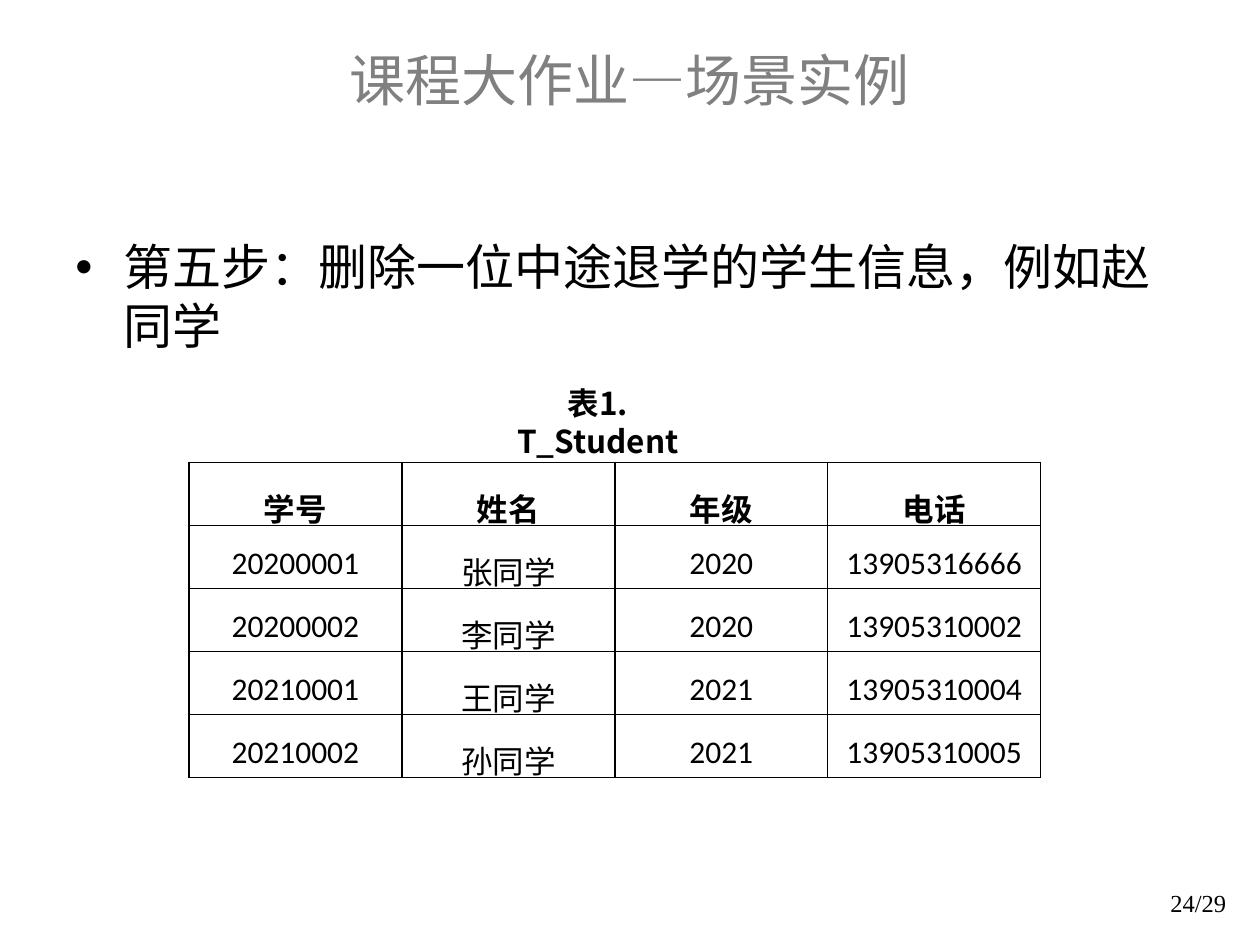
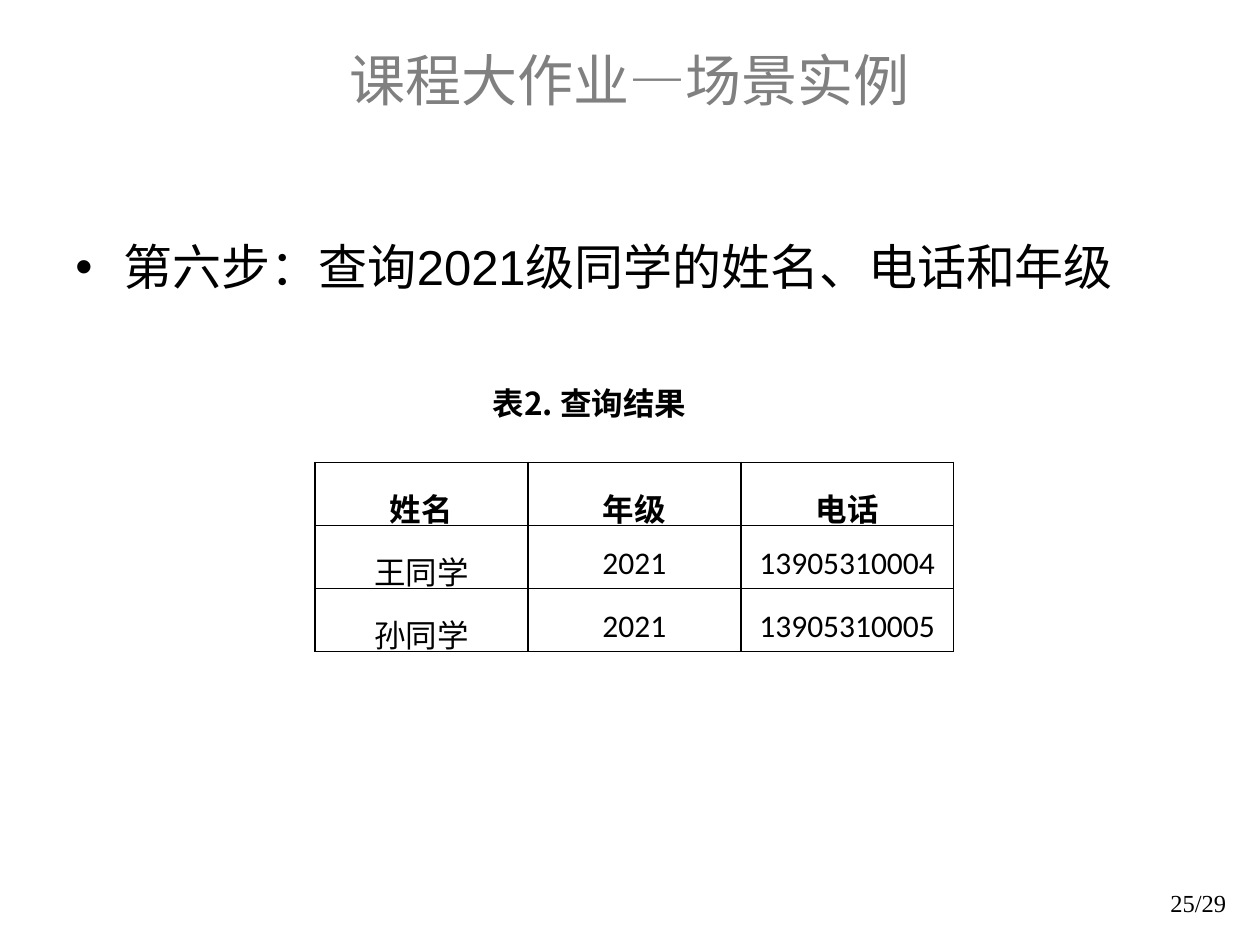
"""Build two slides on the student table of a course project."""
from dataclasses import dataclass

from lxml.etree import SubElement
from pptx import Presentation
from pptx.dml.color import RGBColor
from pptx.enum.text import MSO_ANCHOR, MSO_AUTO_SIZE, PP_ALIGN
from pptx.oxml.ns import qn
from pptx.util import Inches, Pt


@dataclass(frozen=True)
class Theme:
    """Colours, fonts and type sizes shared by the slides."""
    black: str = "000000"
    grey: str = "808080"
    text_font: str = "Arial"
    cell_font: str = "Calibri"
    chinese_font: str = "Noto Sans CJK SC"
    number_font: str = "Times New Roman"
    title_size: int = 32
    body_size: int = 28
    table_size: int = 18
    number_size: int = 14


theme = Theme()


def write(frame, text, size, font, color=theme.black, align=None, bold=False):
    """Write one run into the first paragraph and return the paragraph."""
    para = frame.paragraphs[0]
    para.alignment = align
    span = para.add_run()
    span.text = text
    span.font.size = Pt(size)
    span.font.name = font
    span.font.bold = bold
    span.font.color.rgb = RGBColor.from_string(color)
    SubElement(span.font._element, qn("a:ea"), typeface=theme.chinese_font)
    return para


def add_border(cell):
    """Draw a thin black line on all four sides of a cell."""
    properties = cell._tc.get_or_add_tcPr()
    for side in ("lnL", "lnR", "lnT", "lnB"):
        line = SubElement(properties, qn(f"a:{side}"), w=str(Pt(1)))
        fill = SubElement(line, qn("a:solidFill"))
        SubElement(fill, qn("a:srgbClr"), val=theme.black)


title_text = "课程大作业—场景实例"
column_width, row_height = Inches(1.69), Inches(0.5)
pages = [
    {
        "number": "24/29",
        "step": "第五步：删除一位中途退学的学生信息，例如赵同学",
        "caption": "表1. T_Student",
        "caption_width": 1.99,
        "table_left": 1.5,
        "rows": [
            ("学号", "姓名", "年级", "电话"),
            ("20200001", "张同学", "2020", "13905316666"),
            ("20200002", "李同学", "2020", "13905310002"),
            ("20210001", "王同学", "2021", "13905310004"),
            ("20210002", "孙同学", "2021", "13905310005"),
        ],
    },
    {
        "number": "25/29",
        "step": "第六步：查询2021级同学的姓名、电话和年级",
        "caption": "表2. 查询结果",
        "caption_width": 1.86,
        "table_left": 2.5,
        "rows": [
            ("姓名", "年级", "电话"),
            ("王同学", "2021", "13905310004"),
            ("孙同学", "2021", "13905310005"),
        ],
    },
]

deck = Presentation()
deck.slide_width, deck.slide_height = Inches(10), Inches(7.5)

for content in pages:
    page = deck.slides.add_slide(deck.slide_layouts[5])

    title = page.shapes.title
    title.left, title.top = Inches(0.75), Inches(0)
    title.width, title.height = Inches(8.5), Inches(1.25)
    title.text_frame.vertical_anchor = MSO_ANCHOR.MIDDLE
    write(title.text_frame, title_text, theme.title_size, theme.text_font,
          theme.grey, PP_ALIGN.CENTER)

    body = page.shapes.add_textbox(Inches(0.5), Inches(1.83), Inches(8.92), Inches(4.75))
    body.text_frame.word_wrap = True
    para = write(body.text_frame, content["step"], theme.body_size, theme.text_font)
    para.space_before = Pt(0.2 * theme.body_size)
    bullet = para._p.get_or_add_pPr()
    bullet.set("marL", str(Inches(0.38)))
    bullet.set("indent", str(-Inches(0.38)))
    SubElement(bullet, qn("a:buFont"), typeface=theme.text_font)
    SubElement(bullet, qn("a:buChar"), char="•")

    number = page.shapes.add_textbox(Inches(7.75), Inches(7), Inches(2.08), Inches(0.5))
    number.text_frame.word_wrap = True
    write(number.text_frame, content["number"], theme.number_size, theme.number_font,
          align=PP_ALIGN.RIGHT)

    rows = content["rows"]
    columns = len(rows[0])
    table = page.shapes.add_table(
        len(rows), columns, Inches(content["table_left"]), Inches(3.67),
        column_width * columns, row_height * len(rows)).table
    table.first_row = table.horz_banding = False
    for column in table.columns:
        column.width = column_width
    for row_index, values in enumerate(rows):
        table.rows[row_index].height = row_height
        for column_index, value in enumerate(values):
            cell = table.cell(row_index, column_index)
            cell.margin_left = cell.margin_right = Inches(0.07)
            cell.margin_top = cell.margin_bottom = Inches(0)
            add_border(cell)
            cell.fill.background()
            para = write(cell.text_frame, value, theme.table_size, theme.cell_font,
                         align=PP_ALIGN.CENTER, bold=row_index == 0)
            para.line_spacing = 1.5

    caption = page.shapes.add_textbox(
        Inches(3.75), Inches(3), Inches(content["caption_width"]), Inches(0.4))
    caption.text_frame.word_wrap = False
    caption.text_frame.auto_size = MSO_AUTO_SIZE.SHAPE_TO_FIT_TEXT
    write(caption.text_frame, content["caption"], theme.table_size, theme.chinese_font,
          align=PP_ALIGN.CENTER, bold=True)

deck.save("out.pptx")
